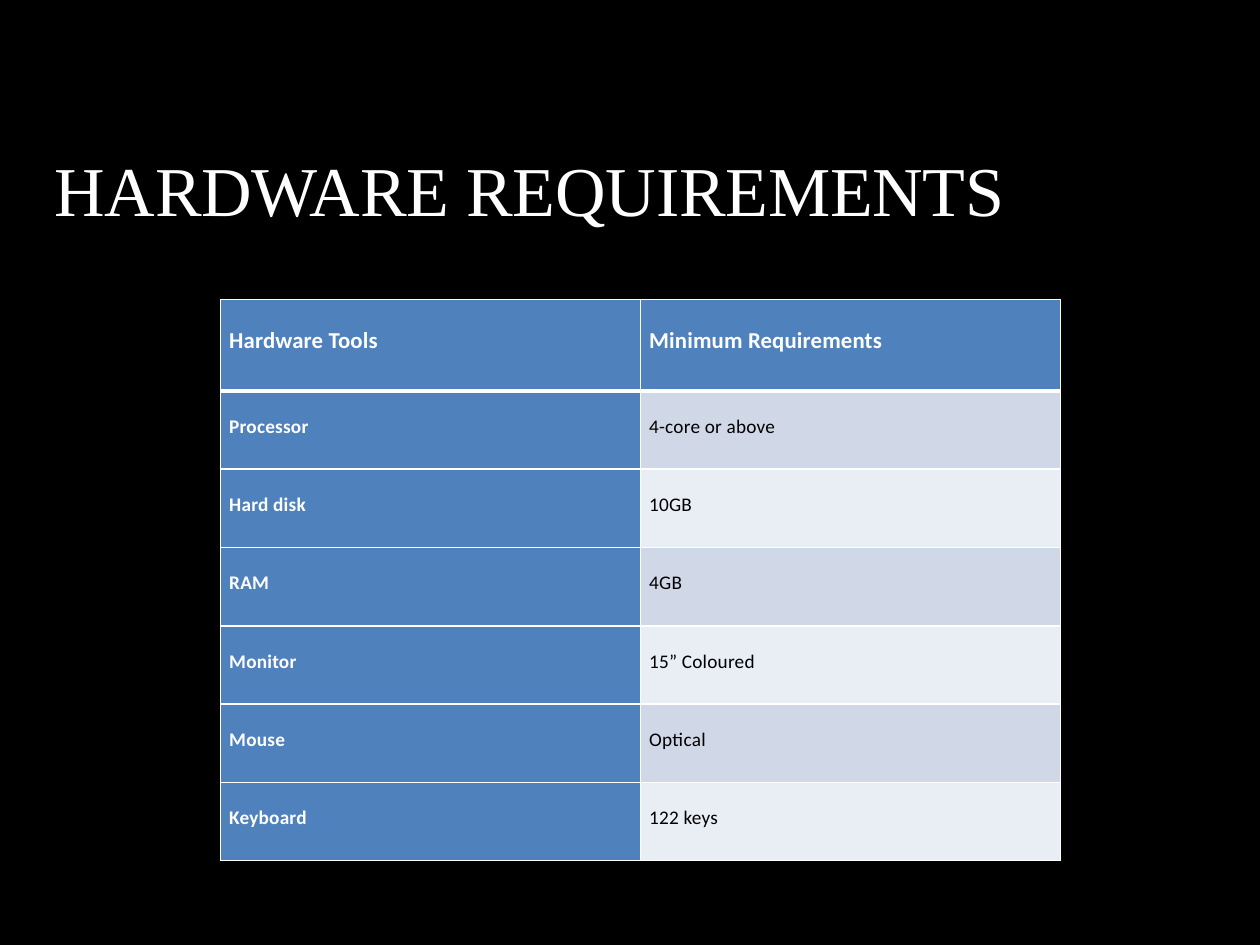
from dataclasses import dataclass

from lxml import etree
from pptx import Presentation
from pptx.dml.color import RGBColor
from pptx.enum.text import MSO_ANCHOR, MSO_AUTO_SIZE, PP_ALIGN
from pptx.oxml.ns import qn
from pptx.util import Pt

LEFT = PP_ALIGN.LEFT
JUSTIFY = PP_ALIGN.JUSTIFY
TOP = MSO_ANCHOR.TOP
NO_AUTOFIT = MSO_AUTO_SIZE.NONE

BLACK = "000000"
WHITE = "FFFFFF"
BLUE = "4F81BD"
BANDS = ("D0D8E8", "E9EDF4")
HEADER_HEIGHT = 52.4
ROW_HEIGHT = 44.75
COLUMN_WIDTH = 240


@dataclass(frozen=True)
class Requirement:
    tool: str
    minimum: str


@dataclass(frozen=True)
class CellStyle:
    fill: str
    color: str
    size: float
    bold: bool
    top: float = 1
    bottom: float = 1


HEADINGS = Requirement("Hardware Tools", "Minimum Requirements")
REQUIREMENTS = (
    Requirement("Processor", "4-core or above"),
    Requirement("Hard disk", "10GB"),
    Requirement("RAM", "4GB"),
    Requirement("Monitor", "15” Coloured"),
    Requirement("Mouse", "Optical"),
    Requirement("Keyboard", "122 keys"),
)


def paint(target, color: str) -> None:
    target.solid()
    target.fore_color.rgb = RGBColor.from_string(color)


def format_font(paragraph, name: str, size: float, color: str, bold: bool, spacing: int) -> None:
    font = paragraph.font
    font.name = name
    font.size = Pt(size)
    font.bold = bold
    paint(font.fill, color)
    paragraph._p.pPr.find(qn("a:defRPr")).set("spc", str(spacing))


def add_borders(cell, style: CellStyle) -> None:
    properties = cell._tc.get_or_add_tcPr()
    widths = {"lnL": 1, "lnR": 1, "lnT": style.top, "lnB": style.bottom}
    for position, (side, width) in enumerate(widths.items()):
        line = etree.Element(qn(f"a:{side}"), w=str(Pt(width)))
        fill = etree.SubElement(line, qn("a:solidFill"))
        etree.SubElement(fill, qn("a:srgbClr"), val=WHITE)
        properties.insert(position, line)


def fill_cell(cell, text: str, style: CellStyle) -> None:
    paint(cell.fill, style.fill)
    add_borders(cell, style)
    cell.margin_left = cell.margin_right = Pt(5)
    cell.margin_top = cell.margin_bottom = 0
    cell.vertical_anchor = TOP
    paragraph = cell.text_frame.paragraphs[0]
    paragraph.text = text
    paragraph.alignment = JUSTIFY
    paragraph.line_spacing = 2.0
    paragraph.space_after = Pt(8)
    format_font(paragraph, "Calibri", style.size, style.color, style.bold, 10)


def add_title(slide, text: str) -> None:
    title = slide.shapes.title
    title.left, title.top, title.width, title.height = Pt(30.2), Pt(82.8), Pt(637), Pt(49.7)
    frame = title.text_frame
    frame.margin_right = frame.margin_bottom = 0
    frame.margin_left = frame.margin_top = Pt(1)
    frame.vertical_anchor = TOP
    frame.word_wrap = True
    frame.auto_size = NO_AUTOFIT
    paragraph = frame.paragraphs[0]
    paragraph.text = text
    paragraph.alignment = LEFT
    paragraph.space_before = Pt(0.9)
    format_font(paragraph, "Times New Roman", 40, WHITE, False, -10)


def add_requirements(slide, requirements: tuple[Requirement, ...]) -> None:
    height = HEADER_HEIGHT + ROW_HEIGHT * len(requirements)
    table = slide.shapes.add_table(
        len(requirements) + 1, 2, Pt(126), Pt(171), Pt(2 * COLUMN_WIDTH), Pt(height)
    ).table
    table.first_row = table.horz_banding = False
    for column in table.columns:
        column.width = Pt(COLUMN_WIDTH)

    table.rows[0].height = Pt(HEADER_HEIGHT)
    heading_style = CellStyle(BLUE, WHITE, 13, True, bottom=3)
    fill_cell(table.cell(0, 0), HEADINGS.tool, heading_style)
    fill_cell(table.cell(0, 1), HEADINGS.minimum, heading_style)

    for row, requirement in enumerate(requirements, start=1):
        table.rows[row].height = Pt(ROW_HEIGHT)
        top = 3 if row == 1 else 1
        band = BANDS[(row - 1) % len(BANDS)]
        fill_cell(table.cell(row, 0), requirement.tool, CellStyle(BLUE, WHITE, 11, True, top))
        fill_cell(table.cell(row, 1), requirement.minimum, CellStyle(band, BLACK, 11, False, top))


def main() -> None:
    presentation = Presentation()
    presentation.slide_width, presentation.slide_height = Pt(720), Pt(540)
    slide = presentation.slides.add_slide(presentation.slide_layouts.get_by_name("Title Only"))
    paint(slide.background.fill, BLACK)
    add_title(slide, "HARDWARE REQUIREMENTS")
    add_requirements(slide, REQUIREMENTS)
    presentation.save("out.pptx")


if __name__ == "__main__":
    main()
